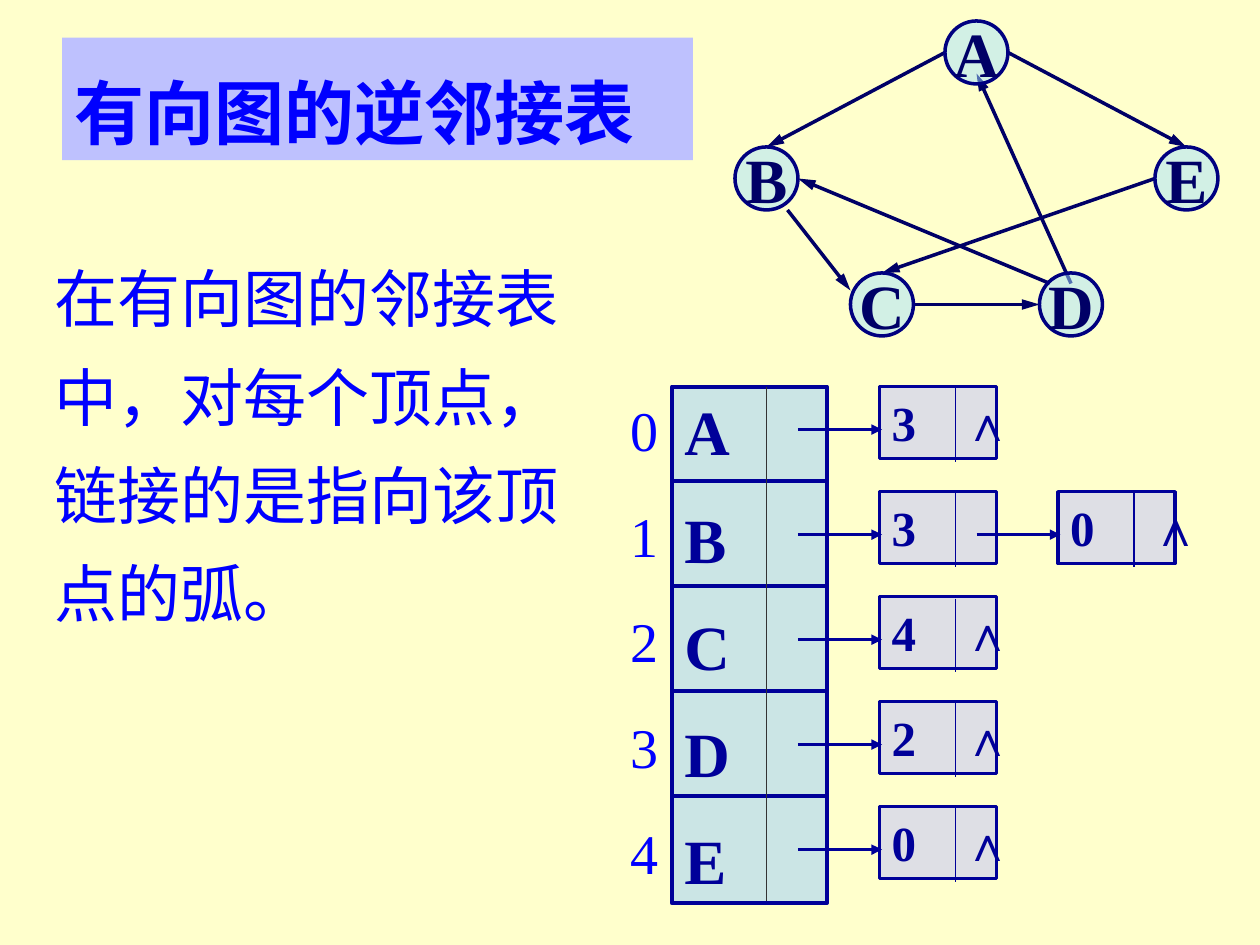
from lxml import etree
from pptx import Presentation, util as u
from pptx.dml.color import RGBColor
from pptx.enum import shapes, text
from pptx.oxml.ns import qn

Pt = u.Pt

# Content
TITLE = "有向图的逆邻接表"
BODY = "在有向图的邻接表中，对每个顶点，链接的是指向该顶点的弧。"
VERTICES = {"A": (540, 12), "B": (420, 84), "E": (660, 84),
            "C": (486, 156), "D": (594, 156)}
# Start vertex, offset inside it, end vertex, offset inside it
EDGES = [
    ("A", (0, 18), "B", (18, 0)),
    ("B", (30, 36), "C", (0, 10)),
    ("C", (36, 18), "D", (0, 18)),
    ("D", (18, 6), "A", (18, 30)),
    ("A", (36, 18), "E", (18, 0)),
    ("D", (6, 6), "B", (36, 18)),
    ("E", (0, 18), "C", (18, 0)),
]
INVERSE_LISTS = [("A", ["3"]), ("B", ["3", "0"]), ("C", ["4"]),
                 ("D", ["2"]), ("E", ["0"])]
NULL_MARK = "∧"

COLORS = {"background": "FFFFCC", "blue": "0000FF", "banner": "BEC1FE",
          "vertex": "A7E2FF", "vertex_line": "000080", "edge": "000066",
          "heads": "99CCFF", "ink": "000099", "divider": "333333"}
SERIF, SANS = "Times New Roman", "Arial"

# Layout in points
VERTEX_SIZE = 36
ROW_TOP, ROW_PITCH = 221, 60
HEAD_LEFT, HEAD_WIDTH, HEAD_HEIGHT = 384, 88.5, 295
NODE_LEFT, NODE_WIDTH, NODE_HEIGHT, NODE_STEP = 502.5, 67, 41, 102
NULL_LEFT, NULL_STEP = 543.6, 107.3


def rgb(name):
    return RGBColor.from_string(COLORS[name])


def fill_with(shape, color, alpha=None):
    shape.fill.solid()
    shape.fill.fore_color.rgb = rgb(color)
    if alpha:
        clr = shape.fill._xPr.find(qn("a:solidFill"))[0]
        etree.SubElement(clr, qn("a:alpha")).set("val", str(alpha * 1000))


def write(shape, lines, size, color, font=SERIF, bold=False, gap=0,
          spacing=None, align=text.PP_ALIGN.LEFT, anchor=text.MSO_ANCHOR.TOP,
          wrap=True, fit=text.MSO_AUTO_SIZE.NONE):
    frame = shape.text_frame
    frame.word_wrap, frame.auto_size = wrap, fit
    frame.vertical_anchor = anchor
    for i, line in enumerate(lines):
        paragraph = frame.add_paragraph() if i else frame.paragraphs[0]
        paragraph.alignment = align
        paragraph.space_before = Pt(gap if i else 0)
        if spacing:
            paragraph.line_spacing = spacing
        run = paragraph.add_run()
        run.text = line
        run.font.size, run.font.bold, run.font.name = Pt(size), bold, font
        run.font.color.rgb = rgb(color)


def place(shape, left, top, width, height):
    shape.left, shape.top = Pt(left), Pt(top)
    shape.width, shape.height = Pt(width), Pt(height)


def add_outlined(slide, kind, box, fill, line, weight):
    shape = slide.shapes.add_shape(kind, *map(Pt, box))
    shape.shadow.inherit = False
    fill_with(shape, fill, 50)
    shape.line.color.rgb, shape.line.width = rgb(line), Pt(weight)
    return shape


def add_line(slide, start, end, color, weight, head=None):
    line = slide.shapes.add_connector(
        shapes.MSO_CONNECTOR.STRAIGHT, *map(Pt, (*start, *end)))
    line.line.color.rgb, line.line.width = rgb(color), Pt(weight)
    if head:
        tail = etree.SubElement(line.line._get_or_add_ln(), qn("a:tailEnd"))
        for key, value in (("type", "triangle"), ("w", "med"), ("len", head)):
            tail.set(key, value)
    etree.SubElement(line._element.spPr, qn("a:effectLst"))


def add_free_text(slide, box, lines, *style, **options):
    label = slide.shapes.add_textbox(*map(Pt, box))
    write(label, lines, *style, wrap=False,
          fit=text.MSO_AUTO_SIZE.SHAPE_TO_FIT_TEXT, **options)


def add_heading_and_body(slide):
    title, body = slide.placeholders
    place(title, 35.5, 21.5, 360.5, 70)
    fill_with(title, "banner")
    write(title, [TITLE], 40, "blue", bold=True, spacing=1.3)
    place(body, 24, 132, 318, 232)
    props = body.text_frame.paragraphs[0]._p.get_or_add_pPr()
    props.set("marL", "0")
    props.set("indent", "0")
    etree.SubElement(props, qn("a:buNone"))
    write(body, [BODY], 36, "blue", spacing=1.3)


def add_graph(slide):
    for start, out, end, into in EDGES:
        points = [tuple(a + b for a, b in zip(VERTICES[v], offset))
                  for v, offset in ((start, out), (end, into))]
        add_line(slide, *points, "edge", 2, "lg")
    for name, corner in VERTICES.items():
        vertex = add_outlined(slide, shapes.MSO_SHAPE.OVAL,
                              (*corner, VERTEX_SIZE, VERTEX_SIZE),
                              "vertex", "vertex_line", 2)
        write(vertex, [name], 36, "edge", bold=True, wrap=False,
              align=text.PP_ALIGN.CENTER, anchor=text.MSO_ANCHOR.MIDDLE)


def add_inverse_lists(slide):
    # Head column with its row and field dividers
    heads = add_outlined(slide, shapes.MSO_SHAPE.RECTANGLE,
                         (HEAD_LEFT, ROW_TOP, HEAD_WIDTH, HEAD_HEIGHT),
                         "heads", "ink", 2.5)
    write(heads, [name for name, _ in INVERSE_LISTS], 36, "ink",
          bold=True, gap=18)
    for row in range(1, len(INVERSE_LISTS)):
        y = ROW_TOP - 6 + row * ROW_PITCH
        add_line(slide, (HEAD_LEFT, y), (474, y), "ink", 2.25)
    add_line(slide, (438, ROW_TOP), (438, 515), "divider", 1)

    # Chained nodes, the last one of each row holding the null mark
    for row, (_, chain) in enumerate(INVERSE_LISTS):
        top = ROW_TOP + row * ROW_PITCH
        for depth, index in enumerate(chain):
            shift = depth * NODE_STEP
            node = add_outlined(
                slide, shapes.MSO_SHAPE.RECTANGLE,
                (NODE_LEFT + shift, top, NODE_WIDTH, NODE_HEIGHT),
                "banner", "ink", 2)
            write(node, [index], 28, "ink", bold=True)
            add_line(slide, (546 + shift, top + 1), (546 + shift, top + 43),
                     "ink", 1)
            add_line(slide, (456 + shift, top + 24.5),
                     (504 + shift, top + 24.5), "ink", 2, "med")
        null_left = NULL_LEFT + (len(chain) - 1) * NULL_STEP
        add_free_text(slide, (null_left, top, 24, NODE_HEIGHT), [NULL_MARK],
                      28, "ink", SANS, bold=True)

    # Row numbers
    add_free_text(slide, (353, 222.5, 30, 287),
                  [str(row) for row in range(len(INVERSE_LISTS))],
                  32, "blue", gap=22)


def main():
    deck = Presentation()
    deck.slide_width, deck.slide_height = Pt(720), Pt(540)
    slide = deck.slides.add_slide(deck.slide_layouts[1])
    slide.background.fill.solid()
    slide.background.fill.fore_color.rgb = rgb("background")
    add_heading_and_body(slide)
    add_graph(slide)
    add_inverse_lists(slide)
    deck.save("out.pptx")


if __name__ == "__main__":
    main()
